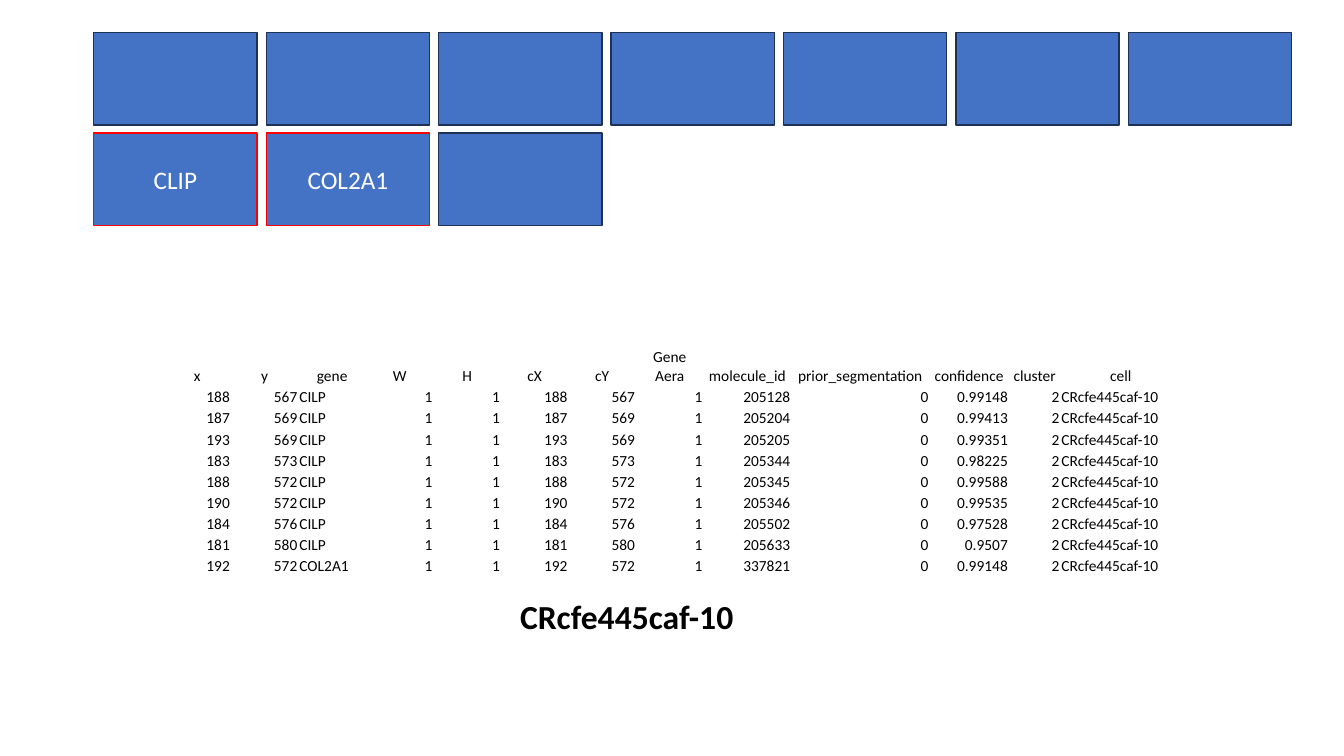
from dataclasses import dataclass

from pptx import Presentation
from pptx.dml.color import RGBColor
from pptx.enum.shapes import MSO_SHAPE
from pptx.enum.text import MSO_ANCHOR, MSO_AUTO_SIZE, PP_ALIGN
from pptx.util import Inches, Pt

RECT = MSO_SHAPE.RECTANGLE
MIDDLE, BOTTOM = MSO_ANCHOR.MIDDLE, MSO_ANCHOR.BOTTOM
LEFT, CENTER, RIGHT = PP_ALIGN.LEFT, PP_ALIGN.CENTER, PP_ALIGN.RIGHT

CELL_ID = "CRcfe445caf-10"
TILE_ROWS = [[""] * 7, ["CLIP", "COL2A1", ""]]
COLUMNS = [
    ("x", 0.67), ("y", 0.67), ("gene", 0.67), ("W", 0.67), ("H", 0.67),
    ("cX", 0.67), ("cY", 0.67), ("Gene Aera", 0.67), ("molecule_id", 0.87),
    ("prior_segmentation", 1.37), ("confidence", 0.79), ("cluster", 0.51),
    ("cell", 1.2),
]
TEXT_COLUMNS = ("gene", "cell")
MOLECULES = [
    (188, 567, "CILP", 205128, "0.99148"),
    (187, 569, "CILP", 205204, "0.99413"),
    (193, 569, "CILP", 205205, "0.99351"),
    (183, 573, "CILP", 205344, "0.98225"),
    (188, 572, "CILP", 205345, "0.99588"),
    (190, 572, "CILP", 205346, "0.99535"),
    (184, 576, "CILP", 205502, "0.97528"),
    (181, 580, "CILP", 205633, "0.9507"),
    (192, 572, "COL2A1", 337821, "0.99148"),
]


@dataclass(frozen=True)
class Theme:
    font: str = "Calibri"
    tile: str = "4472C4"
    outline: str = "1E3256"
    marked: str = "FF0000"
    light: str = "FFFFFF"
    dark: str = "000000"
    table_size: int = 11
    tile_size: int = 18
    caption_size: int = 24


THEME = Theme()
TILE_LEFT, TILE_TOP = 0.93, 0.32
TILE_W, TILE_H = 1.62, 0.92
TILE_STEP_X, TILE_STEP_Y = 1.71, 1
TABLE_LEFT, TABLE_TOP, ROW_H = 1.62, 3.44, 0.21


def write(tf, text, size, color, align, bold=False):
    tf.text = text
    p = tf.paragraphs[0]
    p.alignment = align
    for r in p.runs:
        r.font.name = THEME.font
        r.font.size = Pt(size)
        r.font.bold = bold
        r.font.color.rgb = RGBColor.from_string(color)


def add_tile(slide, col, row, label):
    sp = slide.shapes.add_shape(
        RECT,
        Inches(TILE_LEFT + col * TILE_STEP_X),
        Inches(TILE_TOP + row * TILE_STEP_Y),
        Inches(TILE_W), Inches(TILE_H),
    )
    sp.shadow.inherit = False
    sp.fill.solid()
    sp.fill.fore_color.rgb = RGBColor.from_string(THEME.tile)
    edge = THEME.marked if label else THEME.outline
    sp.line.color.rgb = RGBColor.from_string(edge)
    sp.line.width = Pt(1)
    if label:
        sp.text_frame.vertical_anchor = MIDDLE
        write(sp.text_frame, label, THEME.tile_size, THEME.light, CENTER)


def add_molecule_table(slide):
    rows = [[name for name, _ in COLUMNS]]
    for x, y, gene, molecule, confidence in MOLECULES:
        rows.append([x, y, gene, 1, 1, x, y, 1, molecule, 0, confidence, 2, CELL_ID])
    table = slide.shapes.add_table(
        len(rows), len(COLUMNS), Inches(TABLE_LEFT), Inches(TABLE_TOP),
        Inches(sum(width for _, width in COLUMNS)), Inches(ROW_H * len(rows)),
    ).table
    table.first_row = table.horz_banding = False
    for c, (name, width) in enumerate(COLUMNS):
        table.columns[c].width = Inches(width)
        body_align = LEFT if name in TEXT_COLUMNS else RIGHT
        for r, values in enumerate(rows):
            cell = table.cell(r, c)
            cell.fill.background()
            cell.vertical_anchor = BOTTOM
            cell.margin_left = cell.margin_right = cell.margin_top = Inches(0.01)
            cell.margin_bottom = 0
            align = body_align if r else CENTER
            write(cell.text_frame, str(values[c]), THEME.table_size, THEME.dark, align)


def add_caption(slide):
    sp = slide.shapes.add_textbox(Inches(5.06), Inches(5.86), Inches(2.7), Inches(0.5))
    tf = sp.text_frame
    tf.word_wrap = True
    tf.auto_size = MSO_AUTO_SIZE.SHAPE_TO_FIT_TEXT
    write(tf, CELL_ID, THEME.caption_size, THEME.dark, LEFT, bold=True)


def main():
    prs = Presentation()
    prs.slide_width, prs.slide_height = Inches(13.33), Inches(7.5)
    slide = prs.slides.add_slide(prs.slide_layouts.get_by_name("Blank"))
    add_molecule_table(slide)
    for row, labels in enumerate(TILE_ROWS):
        for col, label in enumerate(labels):
            add_tile(slide, col, row, label)
    add_caption(slide)
    prs.save("out.pptx")


if __name__ == "__main__":
    main()
